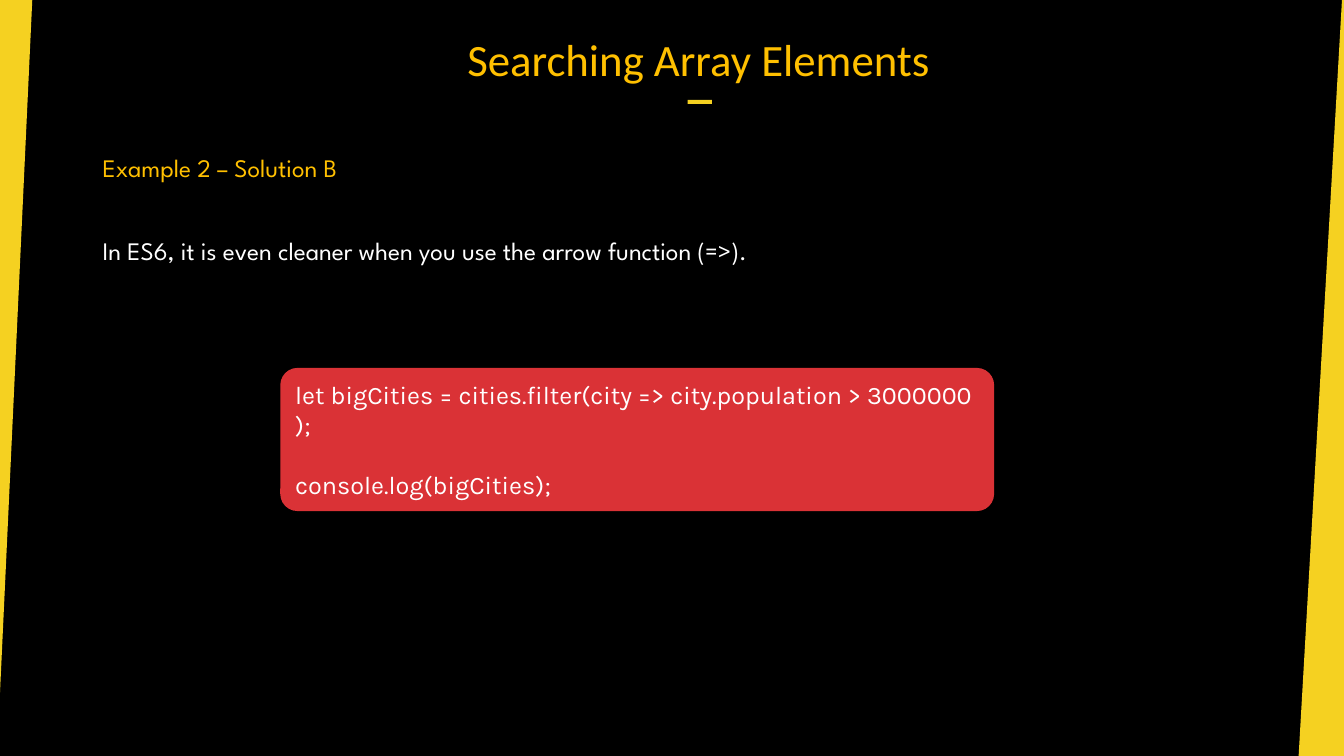
"""Build the slide on searching array elements with an arrow function."""
from pptx import Presentation
from pptx.dml.color import RGBColor
from pptx.enum import shapes, text
from pptx.util import Inches, Pt

WIDTH, HEIGHT = 13.33, 7.5
BLACK = RGBColor(0x00, 0x00, 0x00)
WHITE = RGBColor(0xFF, 0xFF, 0xFF)
YELLOW = RGBColor(0xF5, 0xD1, 0x21)
AMBER = RGBColor(0xFF, 0xC0, 0x00)
RED = RGBColor(0xDA, 0x32, 0x36)
HARD_SPACE = chr(160)

TITLE = "Searching Array Elements"
TITLE_AREA = (3.44, 0.1, 6.98, 0.75)
DASH_AREA = (6.82, 0.99, 0.24, 0.04)
NOTES = [
    ("Example 2 – Solution B", (0.92, 1.46, 5.19, 0.4), AMBER),
    ("In ES6, it is even cleaner when you use the arrow function (=>).",
     (0.92, 2.29, 11.79, 0.4), WHITE),
]
CODE = [
    "let bigCities = cities.filter(city => city.population > 3000000);",
    "console.log(bigCities);",
]
CODE_AREA = (2.78, 3.65, 7.08, 1.42)
WEDGES = [
    [(0, 0), (0.32, 0), (0, 6.87)],
    [(13.31, 0), (WIDTH, 0), (WIDTH, HEIGHT), (12.88, HEIGHT)],
]


def paint(shape, color):
    shape.shadow.inherit = False
    shape.fill.solid()
    shape.fill.fore_color.rgb = color
    shape.line.fill.background()


def add_wedge(page, points):
    start, *others = [(Inches(x), Inches(y)) for x, y in points]
    builder = page.shapes.build_freeform(*start)
    builder.add_line_segments(others, close=True)
    paint(builder.convert_to_shape(), YELLOW)


def add_block(page, kind, area, color):
    block = page.shapes.add_shape(kind, *map(Inches, area))
    paint(block, color)
    return block


def write(frame, lines, font, size, color, align=text.PP_ALIGN.LEFT, gap=0):
    frame.word_wrap = True
    for index, line in enumerate(lines):
        para = frame.add_paragraph() if index else frame.paragraphs[0]
        para.text = line
        para.alignment = align
        para.font.name, para.font.size = font, Pt(size)
        para.font.color.rgb = color
        if index:
            para.space_before = Pt(gap)


def main():
    deck = Presentation()
    deck.slide_width, deck.slide_height = Inches(WIDTH), Inches(HEIGHT)
    page = deck.slides.add_slide(deck.slide_layouts[6])
    page.background.fill.solid()
    page.background.fill.fore_color.rgb = BLACK

    for points in WEDGES:
        add_wedge(page, points)
    add_block(page, shapes.MSO_SHAPE.RECTANGLE, DASH_AREA, YELLOW)

    title = page.shapes.add_textbox(*map(Inches, TITLE_AREA)).text_frame
    title.vertical_anchor = text.MSO_ANCHOR.BOTTOM
    title.margin_top, title.margin_bottom = Inches(0.04), 0
    write(title, [TITLE], "Calibri", 32, AMBER, text.PP_ALIGN.CENTER)

    for words, area, color in NOTES:
        frame = page.shapes.add_textbox(*map(Inches, area)).text_frame
        frame.auto_size = text.MSO_AUTO_SIZE.SHAPE_TO_FIT_TEXT
        write(frame, [words], "League Spartan", 18, color)

    panel = add_block(page, shapes.MSO_SHAPE.ROUNDED_RECTANGLE, CODE_AREA, RED)
    panel.adjustments[0] = 0.12
    panel.text_frame.vertical_anchor = text.MSO_ANCHOR.MIDDLE
    code = [line.replace(" ", HARD_SPACE) for line in CODE]
    write(panel.text_frame, code, "Karla", 18, WHITE, gap=21)

    deck.save("out.pptx")


if __name__ == "__main__":
    main()
